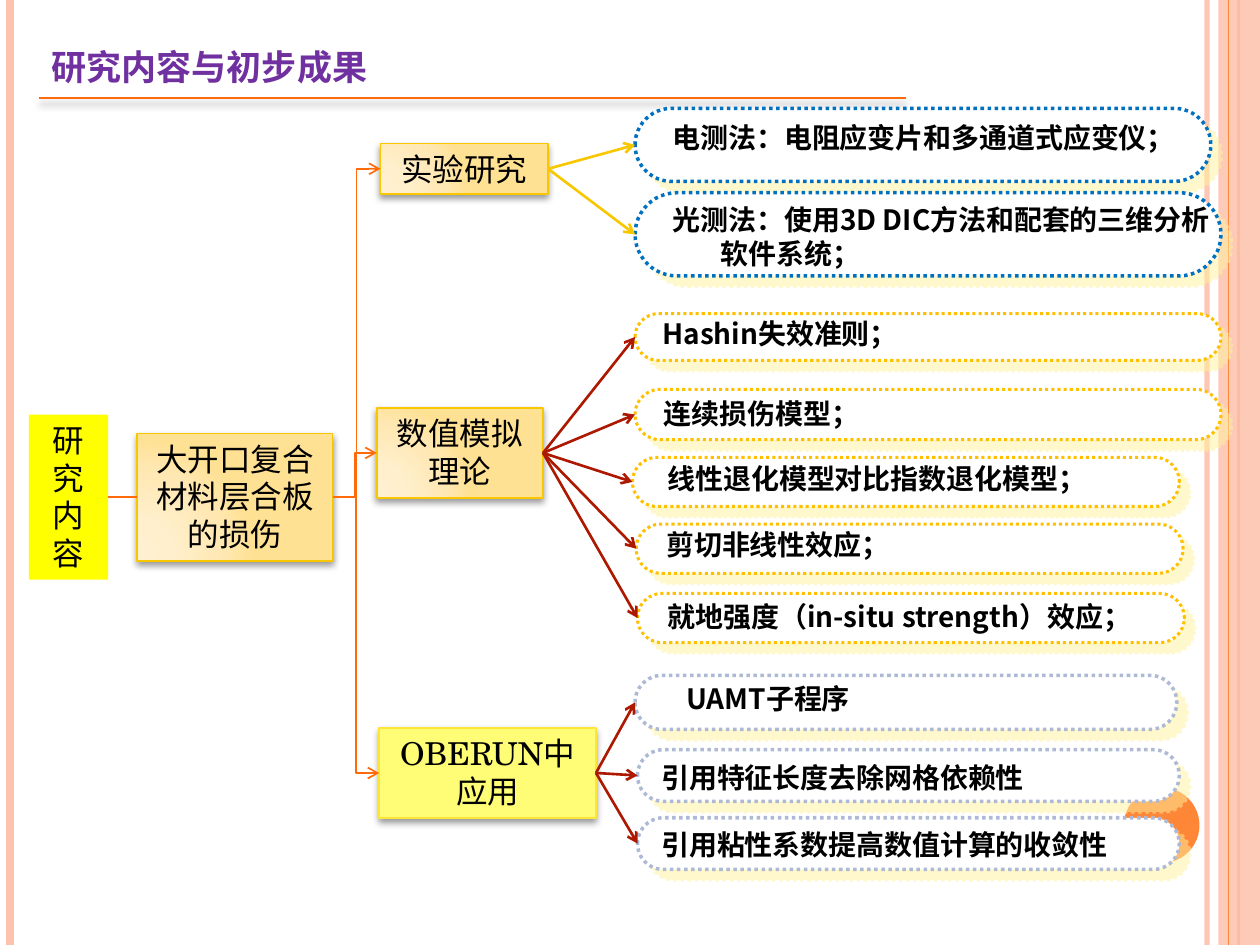
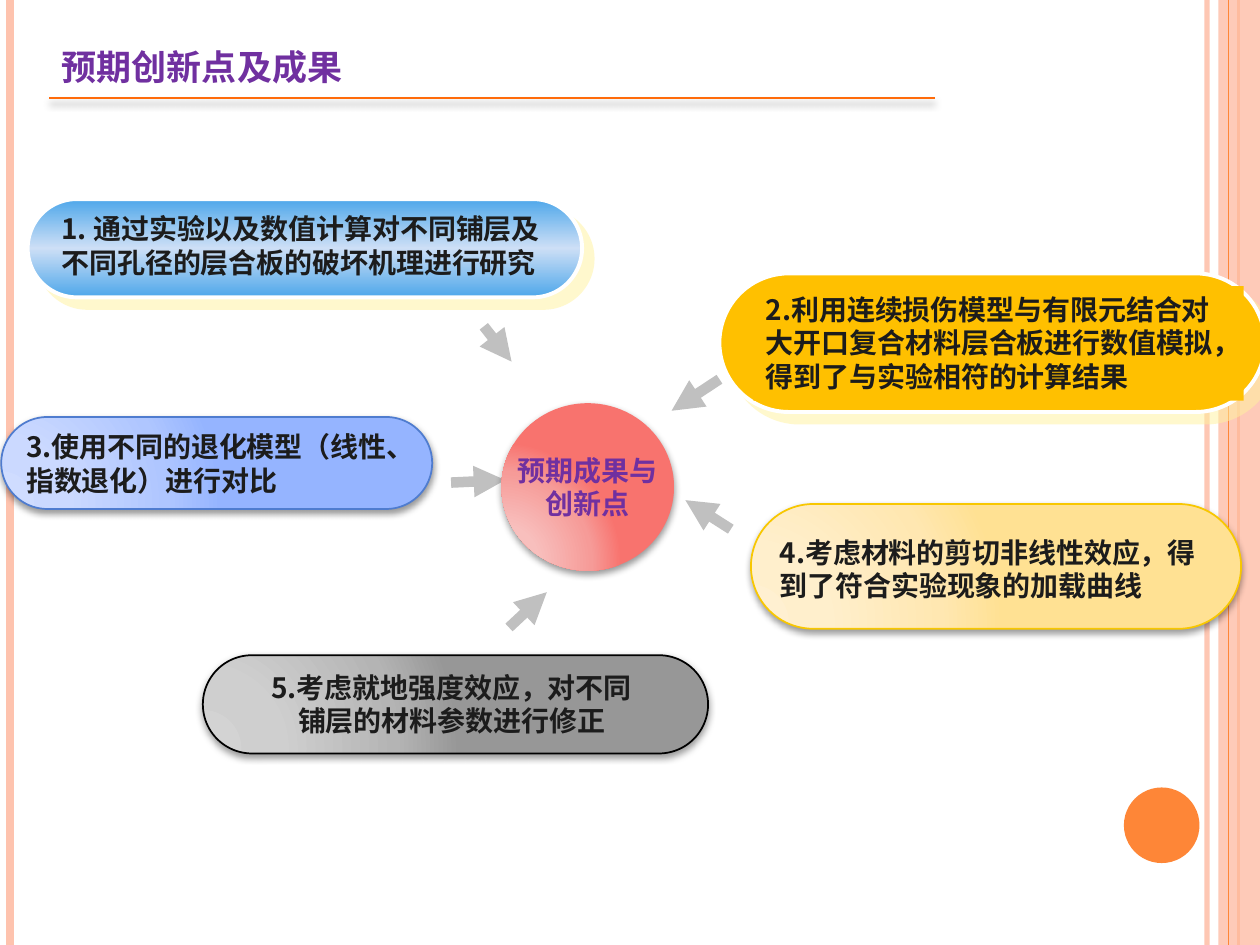
from collections import namedtuple

from pptx import Presentation
from pptx.dml.color import RGBColor
from pptx.enum.dml import MSO_LINE
from pptx.enum.shapes import MSO_CONNECTOR as CONN, MSO_SHAPE as SHAPE
from pptx.enum.text import MSO_ANCHOR as ANCHOR, MSO_AUTO_SIZE, PP_ALIGN as ALIGN
from pptx.oxml import parse_xml
from pptx.oxml.ns import nsdecls, qn
from pptx.util import Inches, Pt

# The slide is a grid of 100 columns by 75 rows
COLS, ROWS = 100, 75
UNIT = Inches(10) / COLS
TITLE_ONLY = 5
SANS, SERIF, ARIAL = "Noto Sans CJK SC", "TeX Gyre Schola", "Arial"

C = dict(
    white="FFFFFF", black="000000", ink="1C1C1C", purple="7030A0",
    salmon="FEC3AE", orange="FE8637", rule="FF6B0A", yellow="FFFF00",
    lemon="FFFC75", lemon_edge="FFE636", gold="F8C700", amber="FFC000",
    blue="0070C0", mist="AEBAD5", red="AC1800", silver="C0C0C0",
    blue_edge="4F7CCF", glow="FFF39D",
)
# Gradient stops: position and colour
GLOW_STOPS = (0, 30, 75, 100)
CREAM = tuple(zip(GLOW_STOPS, ("FFF0D1", "FFEFCC", "FFE7B1", "FFE193")))
GREY = tuple(zip(GLOW_STOPS, ("D3D3D3", "CFCFCF", "B4B4B4", "979797")))
PERIWINKLE = tuple(zip(GLOW_STOPS, ("CFDCFF", "CBD9FF", "AFC6FF", "95B4FF")))
CORAL = tuple(zip(GLOW_STOPS, ("F8C5C3", "F8BFBD", "F69B98", "F8736E")))
SKY = ((0, "4EA7EA"), (50, "CDDFF6"), (100, "4EA7EA"))

# Shadows: colour, opacity %, blur pt, distance pt, direction in degrees
SOFT = (C["black"], 40, 4, 2, 90)
RULE_SHADOW = (C["black"], 40, 4, 3, 90)
OFFSET = (C["glow"], 50, 0, 8.5, 45)

Box = namedtuple("Box", "x y w h")


def inside(box, dx, dy, w, h):
    return Box(box.x + dx, box.y + dy, w, h)


def emu(*values):
    return [round(v * UNIT) for v in values]


def rgb(value):
    return RGBColor.from_string(value)


# ---- Formatting helpers ----
def set_gradient(sp, stops):
    gs = "".join(f'<a:gs pos="{p * 1000}"><a:srgbClr val="{c}"/></a:gs>' for p, c in stops)
    if stops is SKY:
        shade = '<a:lin ang="5400000" scaled="1"/>'
    else:
        shade = ('<a:path path="circle"><a:fillToRect l="5000" t="100000" '
                 'r="120000" b="10000"/></a:path>')
    grad = parse_xml(f'<a:gradFill {nsdecls("a")} rotWithShape="1">'
                     f'<a:gsLst>{gs}</a:gsLst>{shade}</a:gradFill>')
    sp._element.spPr.find(qn("a:prstGeom")).addnext(grad)


def set_alpha(sp, percent):
    for color in sp._element.spPr.iter(qn("a:srgbClr")):
        color.append(parse_xml(f'<a:alpha {nsdecls("a")} val="{percent * 1000}"/>'))


def set_shadow(sp, shadow):
    outer = ""
    if shadow:
        color, alpha, blur, dist, angle = shadow
        outer = (f'<a:outerShdw blurRad="{Pt(blur)}" dist="{Pt(dist)}" dir="{angle * 60000}" '
                 f'algn="tl" rotWithShape="0"><a:srgbClr val="{color}">'
                 f'<a:alpha val="{alpha * 1000}"/></a:srgbClr></a:outerShdw>')
    sp._element.spPr.append(
        parse_xml(f'<a:effectLst {nsdecls("a")}>{outer}</a:effectLst>'))


def write(sp, text, size=16, font=SANS, color=C["black"], bold=False,
          align=ALIGN.LEFT, anchor=ANCHOR.TOP, wrap=True, hang=0):
    tf = sp.text_frame
    tf.auto_size = MSO_AUTO_SIZE.NONE
    tf.word_wrap, tf.vertical_anchor = wrap, anchor
    for i, line in enumerate(text.split("\n")):
        p = tf.add_paragraph() if i else tf.paragraphs[0]
        p.alignment = align
        if hang:
            pPr = p._p.get_or_add_pPr()
            pPr.set("marL", str(round(hang * UNIT)))
            pPr.set("indent", str(-round(hang * UNIT)))
        r = p.add_run()
        r.text = line
        f = r.font
        f.size, f.name, f.bold = Pt(size), font, bold
        f.color.rgb = rgb(color)
        r._r.rPr.append(parse_xml(f'<a:ea {nsdecls("a")} typeface="{SANS}"/>'))


def add_box(s, kind, box, fill, line=None, width=1, dash=None, shadow=None, alpha=None):
    sp = s.shapes.add_shape(kind, *emu(*box))
    if isinstance(fill, tuple):
        set_gradient(sp, fill)
    else:
        sp.fill.solid()
        sp.fill.fore_color.rgb = rgb(fill)
    if line:
        sp.line.color.rgb = rgb(line)
        sp.line.width = Pt(width)
        sp.line.dash_style = dash
    else:
        sp.line.fill.background()
    if alpha:
        set_alpha(sp, alpha)
    set_shadow(sp, shadow)
    if kind == SHAPE.ROUNDED_RECTANGLE:
        sp.adjustments[0] = 0.5
    return sp


def add_text(s, box, text, fill=None, **fmt):
    sp = s.shapes.add_textbox(*emu(*box))
    if fill:
        sp.fill.solid()
        sp.fill.fore_color.rgb = rgb(fill)
    write(sp, text, **fmt)


def add_line(s, x1, y1, x2, y2, color, width, kind=CONN.STRAIGHT,
             head=None, shadow=None, alpha=None):
    cx = s.shapes.add_connector(kind, *emu(x1, y1, x2, y2))
    cx.line.color.rgb = rgb(color)
    cx.line.width = Pt(width)
    if head:
        cx.line._get_or_add_ln().append(
            parse_xml(f'<a:tailEnd {nsdecls("a")} type="{head}"/>'))
    if alpha:
        set_alpha(cx, alpha)
    set_shadow(cx, shadow)
    return cx


def join(s, start, end, color, width=1, kind=CONN.STRAIGHT, head="arrow"):
    """Link the right side of start to the left side of end."""
    cx = add_line(s, 0, 0, 1, 1, color, width, kind, head)
    cx.begin_connect(start, 3)
    cx.end_connect(end, 1)


# ---- Shared frame: side bands, corner dot, title and its rule ----
def add_frame(prs, title, x, rule_w, title_w):
    s = prs.slides.add_slide(prs.slide_layouts[TITLE_ONLY])
    add_line(s, 95.8, 0, 95.8, ROWS, C["salmon"], 3, alpha=93)
    add_line(s, 0.8, 0, 0.8, ROWS, C["salmon"], 4.5)
    add_line(s, 98.3, 0, 98.3, ROWS, C["orange"], 1.5)
    add_box(s, SHAPE.RECTANGLE, Box(96.7, 0, 3.3, ROWS), C["salmon"], alpha=87)
    add_line(s, 97.5, 0, 97.5, ROWS, C["orange"], 0.75)
    add_box(s, SHAPE.OVAL, Box(89.2, 62.5, 6, 6), C["orange"])
    add_line(s, x, 7.8, x + rule_w, 7.8, C["rule"], 1, shadow=RULE_SHADOW)
    ph = s.shapes.title
    ph.left, ph.top, ph.width, ph.height = emu(x, 3.1, title_w, 7.8)
    write(ph, title, size=20, color=C["purple"], bold=True)
    return s


# ---- Slide 1: tree of research topics ----
def add_topic(s, box, text, fill=CREAM, line=C["gold"], shadow=SOFT):
    sp = add_box(s, SHAPE.RECTANGLE, box, fill, line, shadow=shadow)
    write(sp, text, size=18, font=SERIF, align=ALIGN.CENTER)
    return sp


def add_branch(s, box, topic, leaves, edge, width, arrow, **look):
    """Topic box, given relative to the region, with an arrow to each leaf."""
    *place, text = topic
    node = add_topic(s, inside(box, *place), text, **look)
    for dx, dy, w, h, tx, ty, leaf_text in leaves:
        pill = inside(box, dx, dy, w, h)
        leaf = add_box(s, SHAPE.ROUNDED_RECTANGLE, pill, C["white"], edge, width,
                       MSO_LINE.ROUND_DOT, OFFSET)
        add_text(s, inside(pill, tx, ty, w - 1, h), leaf_text, bold=True, hang=3.8)
        join(s, node, leaf, arrow, 1.5)
    return node


def research_slide(prs):
    s = add_frame(prs, "研究内容与初步成果", 3.1, 68.8, 74.4)
    root = add_topic(s, Box(2.3, 32.9, 6.3, 13.1), "研\n究\n内容", C["yellow"], None, None)
    damage = add_topic(s, Box(10.9, 34.4, 15.5, 10.1), "大开口复合材料层合板的损伤")
    join(s, root, damage, C["rule"], head=None)

    # Leaves: offset and size in the region, then text offset in the leaf
    experiment = add_branch(
        s, Box(30, 8.6, 67, 13.3), (0.2, 2.8, 13.3, 4, "实验研究"),
        [(20.4, 0, 45.7, 5.8, 2, 0.5, "电测法：电阻应变片和多通道式应变仪；"),
         (20.4, 6.7, 46.5, 6.6, 2, 0.3, "光测法：使用3D DIC方法和配套的三维分析软件系统；")],
        C["blue"], 2, C["gold"])
    theory = add_branch(
        s, Box(30, 24.9, 67, 26.1), (-0.1, 7.5, 13.2, 7.1, "数值模拟理论"),
        [(20.4, 0, 46.5, 3.7, 1.2, -0.3, "Hashin失效准则；"),
         (20.4, 6, 46.5, 4, 1.3, 0.1, "连续损伤模型；"),
         (20.2, 11.4, 43.4, 3.9, 1.8, -0.2, "线性退化模型对比指数退化模型；"),
         (20.5, 16.7, 43.4, 3.9, 1.4, -0.2, "剪切非线性效应；"),
         (20.6, 22.2, 43.4, 3.9, 1.4, 0, "就地强度（in-situ strength）效应；")],
        C["amber"], 1.75, C["red"])
    software = add_branch(
        s, Box(30, 53.6, 67, 15.4), (0.1, 4.2, 17.2, 7.1, "OBERUN中应用"),
        [(20.4, 0, 43, 4.3, 3.1, 0, "UAMT子程序"),
         (20.6, 5.9, 43, 4.1, 0.9, 0.4, "引用特征长度去除网格依赖性"),
         (20.6, 11.3, 43, 4.1, 0.9, 0.3, "引用粘性系数提高数值计算的收敛性")],
        C["mist"], 2, C["red"], fill=C["lemon"], line=C["lemon_edge"])
    for node in (experiment, theory, software):
        join(s, damage, node, C["rule"], kind=CONN.ELBOW)


# ---- Slide 2: expected results around a centre ----
def add_card(s, box, text_place, text, fill, line, width=1, shadow=SOFT,
             text_fill=None, align=ALIGN.LEFT):
    add_box(s, SHAPE.ROUNDED_RECTANGLE, box, fill, line, width, shadow=shadow)
    add_text(s, inside(box, *text_place), text, text_fill,
             color=C["ink"], bold=True, align=align)


def results_slide(prs):
    s = add_frame(prs, "预期创新点及成果", 3.9, 70.3, 77.3)

    # Arrows pointing to the centre
    for ends in ((38.4, 25.9, 40.6, 28.7), (40.4, 49.8, 43.4, 47),
                 (35.8, 38.3, 40.1, 38.1), (57.1, 30.1, 53.3, 32.6),
                 (58, 42, 54.4, 39.7)):
        add_line(s, *ends, C["silver"], 6, head="triangle")

    centre = add_box(s, SHAPE.OVAL, Box(39.8, 32, 13.7, 13.3), CORAL, shadow=SOFT)
    write(centre, "预期成果与\n创新点", font=ARIAL, color=C["purple"], bold=True,
          align=ALIGN.CENTER, anchor=ANCHOR.MIDDLE, wrap=False)

    add_card(s, Box(2.2, 15.8, 44, 7.8), (1.7, 0.5, 41.7, 9.1),
             "1. 通过实验以及数值计算对不同铺层及不同孔径的层合板的破坏机理进行研究",
             SKY, C["white"], 2.25, OFFSET)
    add_card(s, Box(57.1, 21.7, 43.3, 11), (2.7, 1, 38.9, 9.1),
             "2.利用连续损伤模型与有限元结合对大开口复合材料层合板进行数值模拟，"
             "得到了与实验相符的计算结果",
             C["amber"], C["white"], 2.25, OFFSET, text_fill=C["amber"])
    add_card(s, Box(0.1, 33.1, 34.2, 7.3), (1, 0.5, 32.4, 6.4),
             "3.使用不同的退化模型（线性、指数退化）进行对比",
             PERIWINKLE, C["blue_edge"])
    add_card(s, Box(59.6, 40, 38.9, 9.9), (1.3, 2, 36.3, 6.4),
             "4.考虑材料的剪切非线性效应，得到了符合实验现象的加载曲线",
             CREAM, C["gold"])
    add_card(s, Box(16.1, 52, 40.1, 7.8), (3.4, 0.7, 32.7, 6.4),
             "5.考虑就地强度效应，对不同铺层的材料参数进行修正",
             GREY, C["black"], align=ALIGN.CENTER)


def main():
    prs = Presentation()
    prs.slide_width, prs.slide_height = emu(COLS, ROWS)
    research_slide(prs)
    results_slide(prs)
    prs.save("out.pptx")


if __name__ == "__main__":
    main()
